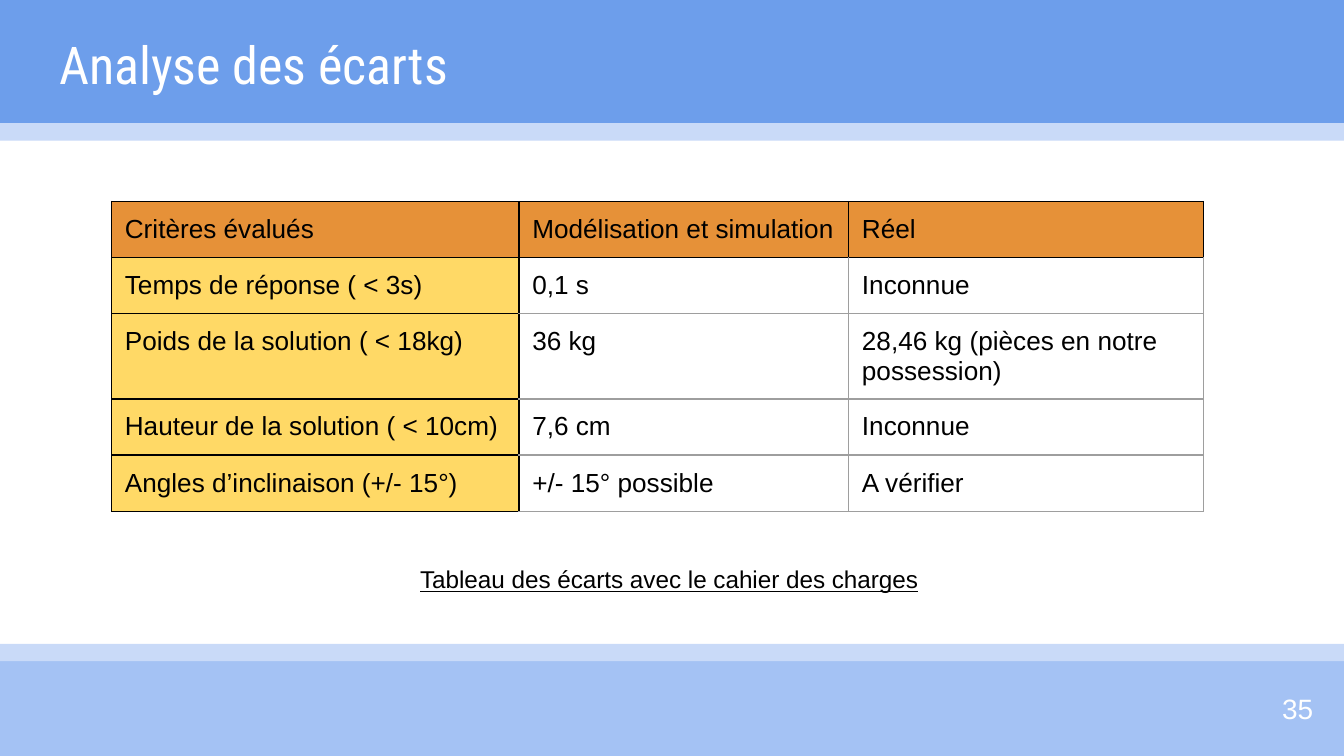
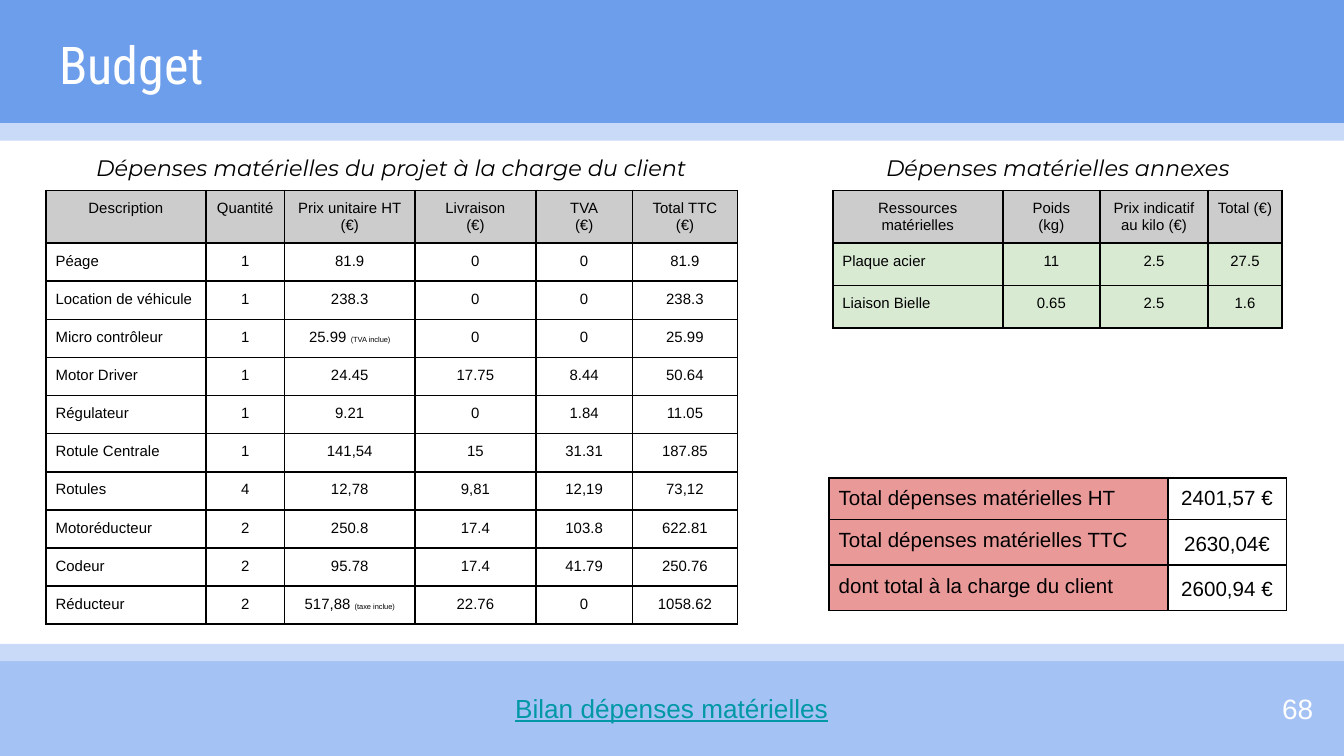
"""Build the gap analysis slide and the budget slide."""
from dataclasses import dataclass
from typing import Any, Optional

from lxml.etree import SubElement
from pptx import Presentation
from pptx.dml.color import RGBColor
from pptx.enum.shapes import MSO_SHAPE as Preset
from pptx.enum.text import MSO_ANCHOR as Anchor, MSO_AUTO_SIZE as AutoSize, PP_ALIGN as Align
from pptx.oxml.ns import qn
from pptx.util import Cm, Pt

BLACK = RGBColor(0x00, 0x00, 0x00)
WHITE = RGBColor(0xFF, 0xFF, 0xFF)
BLUE = RGBColor(0x6D, 0x9E, 0xEB)
SKY = RGBColor(0xA4, 0xC2, 0xF4)
PALE = RGBColor(0xC9, 0xDA, 0xF8)
TEAL = RGBColor(0x00, 0x97, 0xA7)
ORANGE = RGBColor(0xE6, 0x91, 0x38)
YELLOW = RGBColor(0xFF, 0xD9, 0x66)
SILVER = RGBColor(0xCC, 0xCC, 0xCC)
GREY = RGBColor(0x9E, 0x9E, 0x9E)
PINK = RGBColor(0xEA, 0x99, 0x99)
GREEN = RGBColor(0xD9, 0xEA, 0xD3)

NOTE_SIZE = 4
BOX_INSET = 0.25
MARGINS = ("margin_left", "margin_top", "margin_right", "margin_bottom")


@dataclass(frozen=True)
class Band:
    """A full-width stripe, in centimetres."""
    left: float
    top: float
    height: float
    colour: RGBColor
    width: float = 25.58


@dataclass(frozen=True)
class TextStyle:
    """The look of a paragraph."""
    size: float
    colour: RGBColor = BLACK
    name: str = "Arial"
    italic: bool = False
    underline: bool = False
    alignment: Align = Align.LEFT
    line_spacing: Optional[float] = None
    space_after: float = 0


@dataclass(frozen=True)
class Label:
    """A text box, in centimetres."""
    text: str
    left: float
    top: float
    width: float
    height: float
    style: TextStyle
    anchor: Anchor = Anchor.TOP
    grow: bool = False


@dataclass(frozen=True)
class Grid:
    """A table, in centimetres; a bar in a cell starts a small note."""
    left: float
    top: float
    columns: tuple[float, ...]
    heights: tuple[float, ...]
    rows: tuple[tuple[str, ...], ...]
    size: float
    header: Optional[RGBColor] = None
    first_column: Optional[RGBColor] = None
    body: Optional[RGBColor] = None
    inner_line: RGBColor = BLACK
    line_width: float = 1
    inset: float = 0.18
    centred: bool = True
    value_spacing: Optional[float] = None


BANDS = (
    Band(-0.08, -0.03, 2.39, BLUE),
    Band(-0.03, 12.5, 1.83, SKY),
    Band(-0.03, 12.17, 0.33, PALE),
    Band(-0.08, 2.33, 0.33, PALE),
)
TITLE = TextStyle(27.9, WHITE, "Roboto Condensed")
NUMBER = TextStyle(15, WHITE, alignment=Align.RIGHT)
CAPTION = TextStyle(13, underline=True, line_spacing=1.15, space_after=12)
HEADING = TextStyle(12, name="Montserrat", italic=True, alignment=Align.CENTER)
FOOTER = TextStyle(14, TEAL, underline=True, alignment=Align.CENTER)

GAPS = Grid(
    2.11, 3.81, (7.7, 6.23, 6.7), (1.06,) * 5,
    (
        ("Critères évalués", "Modélisation et simulation", "Réel"),
        ("Temps de réponse ( < 3s)", "0,1 s", "Inconnue"),
        ("Poids de la solution ( < 18kg)", "36 kg", "28,46 kg (pièces en notre possession)"),
        ("Hauteur de la solution ( < 10cm)", "7,6 cm", "Inconnue"),
        ("Angles d’inclinaison (+/- 15°)", "+/- 15° possible", "A vérifier"),
    ),
    14, header=ORANGE, first_column=YELLOW, inner_line=GREY,
    line_width=0.75, inset=BOX_INSET, centred=False,
)
EXPENSES = Grid(
    0.87, 3.6, (3.02, 1.49, 2.46, 2.29, 1.82, 1.99), (0.89,) + (0.72,) * 10,
    (
        ("Description", "Quantité", "Prix unitaire HT (€)", "Livraison\n(€)", "TVA\n(€)",
         "Total TTC\n(€)"),
        ("Péage", "1", "81.9", "0", "0", "81.9"),
        ("Location de véhicule", "1", "238.3", "0", "0", "238.3"),
        ("Micro contrôleur", "1", "25.99 |(TVA inclue)", "0", "0", "25.99"),
        ("Motor Driver", "1", "24.45", "17.75", "8.44", "50.64"),
        ("Régulateur", "1", "9.21", "0", "1.84", "11.05"),
        ("Rotule Centrale", "1", "141,54", "15", "31.31", "187.85"),
        ("Rotules", "4", "12,78", "9,81", "12,19", "73,12"),
        ("Motoréducteur", "2", "250.8", "17.4", "103.8", "622.81"),
        ("Codeur", "2", "95.78", "17.4", "41.79", "250.76"),
        ("Réducteur", "2", "517,88 |(taxe inclue)", "22.76", "0", "1058.62"),
    ),
    8, header=SILVER,
)
TOTALS = Grid(
    15.67, 9.03, (6.4, 2.24), (0.38, 0.41, 0.41),
    (
        ("Total dépenses matérielles HT", "2401,57 €"),
        ("Total dépenses matérielles TTC", "2630,04€"),
        ("dont total à la charge du client", "2600,94 €"),
    ),
    11, first_column=PINK, value_spacing=1.15,
)
EXTRAS = Grid(
    15.74, 3.6, (3.21, 1.84, 2.04, 1.4), (0.89, 0.8, 0.8),
    (
        ("Ressources matérielles", "Poids\n(kg)", "Prix indicatif au kilo (€)", "Total (€)"),
        ("Plaque acier", "11", "2.5", "27.5"),
        ("Liaison Bielle", "0.65", "2.5", "1.6"),
    ),
    8, header=SILVER, first_column=GREEN, body=GREEN,
)


def apply(target: Any, formats: dict[str, Any]) -> None:
    """Set each named attribute of the target."""
    for name, value in formats.items():
        setattr(target, name, value)


def write(frame: Any, text: str, style: TextStyle) -> None:
    """Fill a text frame, one paragraph per line."""
    for index, line in enumerate(text.split("\n")):
        paragraph = frame.add_paragraph() if index else frame.paragraphs[0]
        apply(paragraph, {
            "alignment": style.alignment,
            "line_spacing": style.line_spacing,
            "space_after": Pt(style.space_after),
        })
        for part, words in enumerate(line.split("|")):
            run = paragraph.add_run()
            run.text = words
            apply(run.font, {
                "name": style.name,
                "size": Pt(NOTE_SIZE if part else style.size),
                "bold": False,
                "italic": style.italic,
                "underline": style.underline,
            })
            run.font.color.rgb = style.colour


def add_band(slide: Any, band: Band) -> None:
    """Draw one stripe."""
    shape = slide.shapes.add_shape(
        Preset.RECTANGLE, Cm(band.left), Cm(band.top), Cm(band.width), Cm(band.height))
    shape.shadow.inherit = False
    shape.fill.solid()
    shape.fill.fore_color.rgb = band.colour
    shape.line.fill.background()


def add_label(slide: Any, label: Label) -> None:
    """Draw one text box."""
    shape = slide.shapes.add_textbox(
        Cm(label.left), Cm(label.top), Cm(label.width), Cm(label.height))
    frame = shape.text_frame
    apply(frame, dict.fromkeys(MARGINS, Cm(BOX_INSET)) | {
        "word_wrap": True,
        "vertical_anchor": label.anchor,
        "auto_size": AutoSize.SHAPE_TO_FIT_TEXT if label.grow else AutoSize.NONE,
    })
    write(frame, label.text, label.style)


def add_borders(cell: Any, grid: Grid, row: int, column: int) -> None:
    """Line the cell: black round the header and first column, inner colour elsewhere."""
    inner = row > 0 and column > 0
    black_edges = {"L": column <= 1, "R": False, "T": row <= 1, "B": False}
    properties = cell._tc.get_or_add_tcPr()
    for edge, black in black_edges.items():
        line = SubElement(properties, qn(f"a:ln{edge}"), w=str(Pt(grid.line_width)))
        colour = grid.inner_line if inner and not black else BLACK
        SubElement(SubElement(line, qn("a:solidFill")), qn("a:srgbClr"), val=str(colour))


def fill_cell(cell: Any, grid: Grid, row: int, column: int) -> None:
    """Give the cell the fill of its zone."""
    zone = grid.body if column else grid.first_column
    colour = grid.header if grid.header and row == 0 else zone
    if colour is None:
        cell.fill.background()
    else:
        cell.fill.solid()
        cell.fill.fore_color.rgb = colour


def add_grid(slide: Any, grid: Grid) -> None:
    """Draw one table."""
    table = slide.shapes.add_table(
        len(grid.rows), len(grid.columns), Cm(grid.left), Cm(grid.top),
        Cm(sum(grid.columns)), Cm(sum(grid.heights))).table
    apply(table, {"first_row": False, "horz_banding": False})
    for column, width in zip(table.columns, grid.columns):
        column.width = Cm(width)
    for row, height in zip(table.rows, grid.heights):
        row.height = Cm(height)
    for row, texts in enumerate(grid.rows):
        for column, text in enumerate(texts):
            cell = table.cell(row, column)
            apply(cell, dict.fromkeys(MARGINS, Cm(grid.inset)))
            add_borders(cell, grid, row, column)
            fill_cell(cell, grid, row, column)
            heading = grid.header is not None and row == 0
            centred = grid.centred and (column > 0 or heading)
            write(cell.text_frame, text, TextStyle(
                grid.size,
                alignment=Align.CENTER if centred else Align.LEFT,
                line_spacing=grid.value_spacing if row and column else None))


def add_page(presentation: Any, title: str, number: str) -> Any:
    """Add a slide with the bands, title and number."""
    slide = presentation.slides.add_slide(presentation.slide_layouts[6])
    for band in BANDS:
        add_band(slide, band)
    add_label(slide, Label(title, 0.87, 0.36, 23.67, 1.6, TITLE))
    add_label(slide, Label(number, 23.55, 12.85, 1.52, 1.09, NUMBER, Anchor.MIDDLE))
    return slide


def main() -> None:
    """Build and save the slides."""
    presentation = Presentation()
    apply(presentation, {"slide_width": Cm(25.4), "slide_height": Cm(14.29)})

    gaps = add_page(presentation, "Analyse des écarts", "35")
    add_label(gaps, Label(
        "Tableau des écarts avec le cahier des charges", 7.69, 10.34, 10.02, 1.73, CAPTION))
    add_grid(gaps, GAPS)

    budget = add_page(presentation, "Budget", "68")
    for grid in (EXPENSES, TOTALS, EXTRAS):
        add_grid(budget, grid)
    for label in (
        Label("Dépenses matérielles du projet à la charge du client",
              1.24, 2.67, 12.32, 1.02, HEADING, grow=True),
        Label("Bilan dépenses matérielles", 8.53, 12.83, 8.33, 1.12, FOOTER, grow=True),
        Label("Dépenses matérielles annexes", 15.93, 2.67, 8.13, 1.02, HEADING, grow=True),
    ):
        add_label(budget, label)

    presentation.save("out.pptx")


if __name__ == "__main__":
    main()
